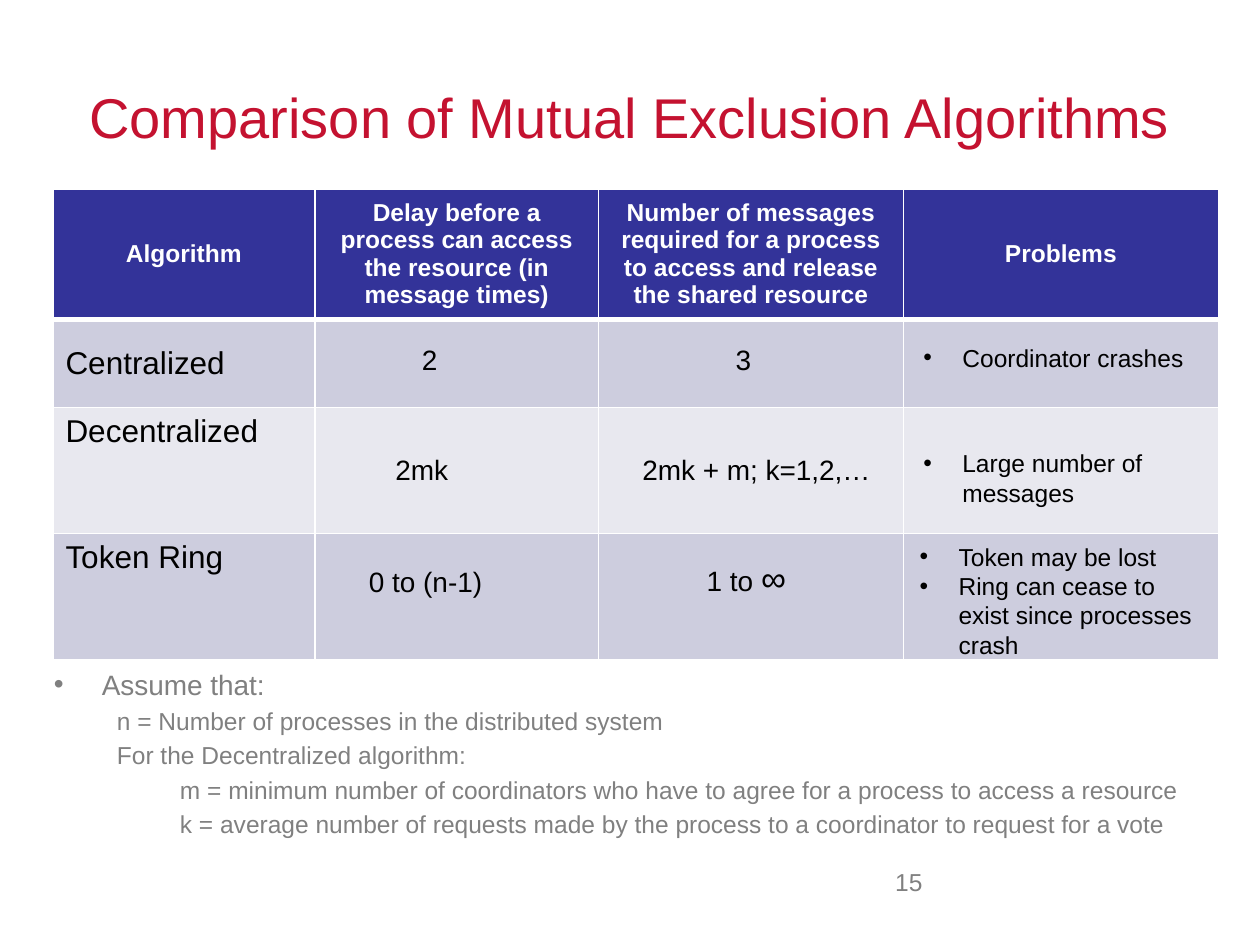
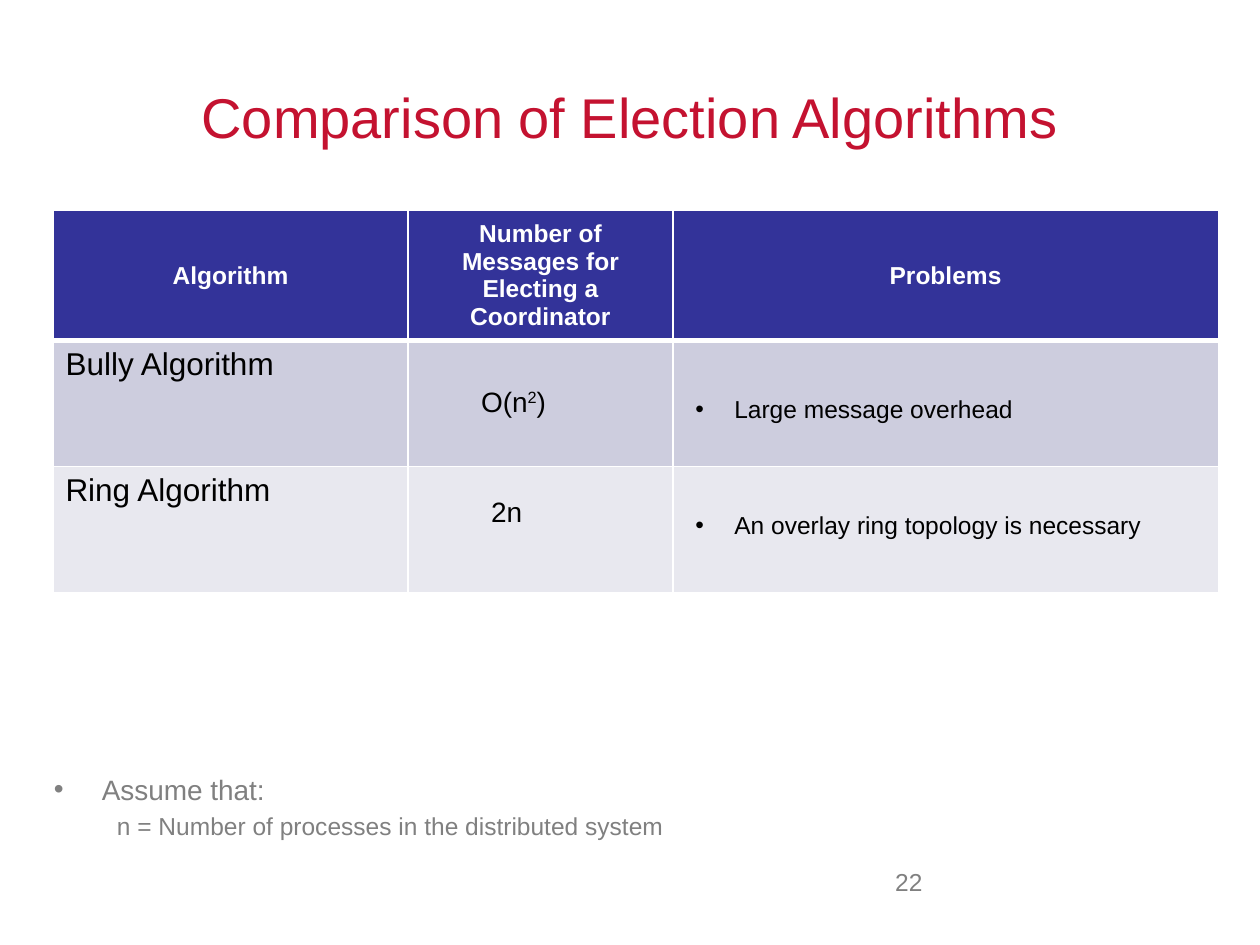
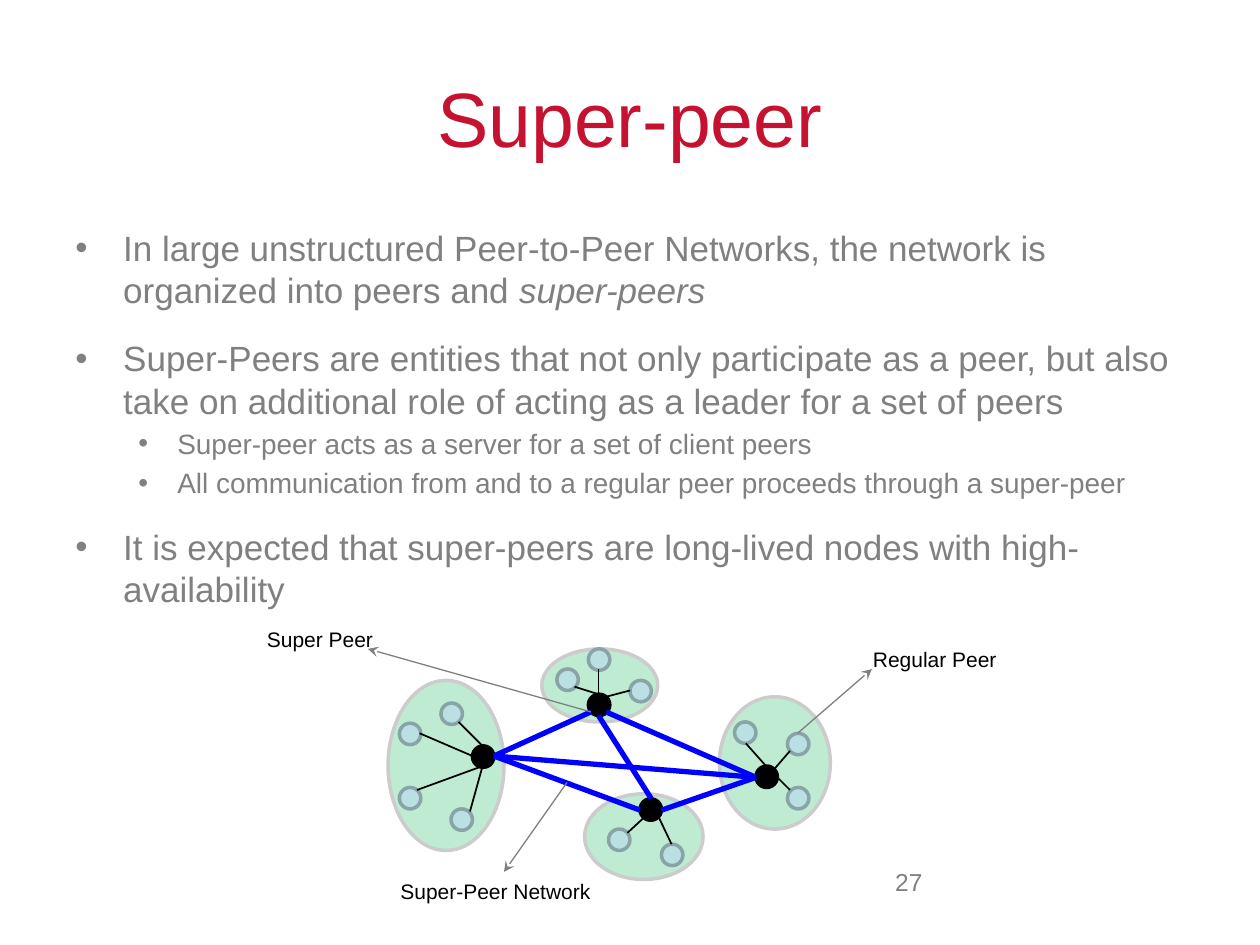
from lxml.etree import SubElement
from pptx import Presentation
from pptx.dml.color import RGBColor
from pptx.enum.shapes import MSO_CONNECTOR, MSO_SHAPE
from pptx.enum.text import MSO_ANCHOR, PP_ALIGN
from pptx.oxml.ns import qn
from pptx.util import Inches, Pt

FONT = "Arial"
COLORS = {
    "title": "C41230", "body": "808080", "ink": "000000", "white": "FFFFFF",
    "header": "333399", "band_dark": "CDCDDE", "band_light": "E8E8EF",
    "cluster": "00B050", "cluster_edge": "CCCCCC",
    "peer": "BBE0E3", "peer_edge": "89A4A7", "backbone": "0000FF", "callout": "7F7F7F",
}

# Paragraph styles: size, colour, left indent, first-line indent, space before, bullet
STYLES = {
    "number": dict(size=14, color="body", align=PP_ALIGN.RIGHT),
    "header": dict(size=14, color="white", bold=True, align=PP_ALIGN.CENTER),
    "row_name": dict(size=18),
    "value": dict(size=16),
    "problem": dict(size=14, left=0.31, first=-0.31, bullet=True),
    "label": dict(size=12),
    "assume": dict(size=16, color="body", left=0.38, first=-0.38, bullet=True),
    "definition": dict(size=14, color="body", left=0.5, before=2.8),
    "point": dict(size=20, color="body", left=0.38, first=-0.38, bullet=True),
    "next_point": dict(size=20, color="body", left=0.38, first=-0.38, before=15, bullet=True),
    "subpoint": dict(size=16, color="body", left=0.81, first=-0.31, before=3.2, bullet=True),
}

# Comparison slides; values and problems are (left, top, width, paragraphs)
COMPARISONS = [
    dict(
        title="Comparison of Mutual Exclusion Algorithms", number=15,
        table_top=1.5, widths=[2.08, 2.25, 2.42, 2.5], heights=[1.03, 0.7, 1, 1],
        headers=["Algorithm",
                 "Delay before a process can access the resource (in message times)",
                 "Number of messages required for a process to access and release the shared resource",
                 "Problems"],
        algorithms=["Centralized", "Decentralized", "Token Ring"],
        centred_rows=[1],
        values=[(3.25, 2.67, 0.33, ["2"]), (5.74, 2.67, 0.42, ["3"]),
                (3.04, 3.54, 0.7, ["2mk"]), (5, 3.54, 2.11, ["2mk + m; k=1,2,…"]),
                (2.83, 4.43, 1.17, ["0 to (n-1)"]),
                (5.51, 4.37, 0.88, [["1 to ", ("∞", {"size": 20})]])],
        problems=[(7.23, 2.67, 2.42, ["Coordinator crashes"]),
                  (7.23, 3.51, 2.5, ["Large number of messages"]),
                  (7.2, 4.25, 2.47, ["Token may be lost",
                                     "Ring can cease to exist since processes crash"])],
        notes_top=5.25, notes_height=1.67,
        definitions=["n = Number of processes in the distributed system",
                     "For the Decentralized algorithm:",
                     "\tm = minimum number of coordinators who have to agree for a process to access a resource",
                     "\tk = average number of requests made by the process to a coordinator to request for a vote"],
    ),
    dict(
        title="Comparison of Election Algorithms", number=22,
        table_top=1.67, widths=[2.82, 2.1, 4.33], heights=[1.03, 1, 1],
        headers=["Algorithm", "Number of Messages for Electing a Coordinator", "Problems"],
        algorithms=["Bully Algorithm", "Ring Algorithm"],
        centred_rows=[],
        values=[(3.72, 3, 0.75, [["O(n", ("2", {"raised": True}), ")"]]),
                (3.8, 3.88, 0.7, ["2n"])],
        problems=[(5.42, 3.08, 4, ["Large message overhead"]),
                  (5.42, 4, 4.08, ["An overlay ring topology is necessary"])],
        notes_top=6.08, notes_height=0.75,
        definitions=["n = Number of processes in the distributed system"],
    ),
]

SUPER_PEER_POINTS = [
    ("point", ["In large unstructured Peer-to-Peer Networks, the network is organized into peers and ",
               ("super-peers", {"italic": True})]),
    ("next_point", "Super-Peers are entities that not only participate as a peer, but also take on "
                   "additional role of acting as a leader for a set of peers"),
    ("subpoint", "Super-peer acts as a server for a set of client peers"),
    ("subpoint", "All communication from and to a regular peer proceeds through a super-peer"),
    ("next_point", "It is expected that super-peers are long-lived nodes with high-availability"),
]

# Each cluster: outline box, super-peer corner, peer corners, spokes (x1, y1, x2, y2)
NODE_SIZE = 0.17
CLUSTERS = [
    dict(outline=(3.08, 5.4, 0.92, 1.35), leader=(3.75, 5.92),
         peers=[(3.17, 6.25), (3.58, 6.42), (3.17, 5.74), (3.5, 5.58)],
         spokes=[(3.64, 5.73, 3.83, 5.92), (3.33, 5.82, 3.75, 6),
                 (3.83, 6.08, 3.31, 6.27), (3.83, 6.08, 3.73, 6.44)]),
    dict(outline=(4.3, 5.15, 0.92, 0.58), leader=(4.67, 5.51),
         peers=[(5, 5.4), (4.67, 5.15), (4.42, 5.31)],
         spokes=[(4.56, 5.45, 4.75, 5.51), (4.75, 5.31, 4.75, 5.51), (5, 5.48, 4.81, 5.53)]),
    dict(outline=(5.71, 5.53, 0.88, 1.05), leader=(6, 6.08),
         peers=[(5.83, 5.73), (6.25, 6.25), (6.25, 5.82)],
         spokes=[(5.92, 5.9, 6.08, 6.08), (6.27, 5.96, 6.14, 6.11), (6.17, 6.17, 6.27, 6.27)]),
    dict(outline=(4.64, 6.3, 0.94, 0.68), leader=(5.08, 6.34),
         peers=[(4.83, 6.58), (5.25, 6.7)],
         spokes=[(4.98, 6.61, 5.11, 6.49), (5.33, 6.7, 5.23, 6.49)]),
]
BACKBONE = [(4.69, 5.65, 3.92, 6), (6, 6.17, 4.81, 5.65), (6, 6.17, 5.25, 6.43),
            (5.08, 6.43, 3.92, 6), (6, 6.17, 3.92, 6), (4.75, 5.68, 5.17, 6.34)]
LABELS = [(6.83, 5.08, 1.25, "Regular Peer"), (2.02, 4.92, 1.33, "Super Peer"),
          (3.08, 6.92, 1.84, "Super-Peer Network")]
CALLOUTS = [(4.5, 6.21, 4, 6.92), (4.69, 5.65, 2.92, 5.15), (6.33, 5.82, 6.92, 5.31)]


def rgb(name):
    return RGBColor.from_string(COLORS[name])


# Text
def write(para, content, size, color="ink", bold=False, align=PP_ALIGN.LEFT,
          left=0, first=0, before=0, bullet=False):
    """Fill a paragraph; content is a string or a list of strings and (string, changes)."""
    para.alignment = align
    para.space_before = Pt(before)
    props = para._p.get_or_add_pPr()
    props.set("marL", str(Inches(left)))
    props.set("indent", str(Inches(first)))
    if bullet:
        tint = SubElement(props, qn("a:buClr"))
        SubElement(tint, qn("a:srgbClr"), val=COLORS[color])
        SubElement(props, qn("a:buFont"), typeface=FONT)
        SubElement(props, qn("a:buChar"), char="•")
    font = para.font
    font.name, font.size, font.bold = FONT, Pt(size), bold
    font.color.rgb = rgb(color)
    for part in [content] if isinstance(content, str) else content:
        text, changes = (part, {}) if isinstance(part, str) else part
        span = para.add_run()
        span.text = text
        if "size" in changes:
            span.font.size = Pt(changes["size"])
        if "italic" in changes:
            span.font.italic = True
        if "raised" in changes:
            span._r.get_or_add_rPr().set("baseline", "30000")


def add_text(page, left, top, width, height, paragraphs, anchor=MSO_ANCHOR.TOP):
    """Add a text box; paragraphs are (style name, content)."""
    box = page.shapes.add_textbox(Inches(left), Inches(top), Inches(width), Inches(height))
    frame = box.text_frame
    frame.word_wrap = True
    frame.vertical_anchor = anchor
    for index, (style, content) in enumerate(paragraphs):
        para = frame.add_paragraph() if index else frame.paragraphs[0]
        write(para, content, **STYLES[style])


def add_page(deck, title, number, title_size=32):
    page = deck.slides.add_slide(deck.slide_layouts[6])
    box = page.shapes.add_textbox(Inches(0.5), Inches(0.3), Inches(9), Inches(1.25))
    box.text_frame.word_wrap = True
    box.text_frame.vertical_anchor = MSO_ANCHOR.MIDDLE
    write(box.text_frame.paragraphs[0], title, title_size, "title", align=PP_ALIGN.CENTER)
    add_text(page, 6.5, 6.83, 0.92, 0.52, [("number", str(number))])
    return page


# Tables
def style_cell(cell, fill, row):
    """White rules all round, with a heavy one under the header row."""
    widths = {"L": 1, "R": 1, "T": 3 if row == 1 else 1, "B": 3 if row == 0 else 1}
    props = cell._tc.get_or_add_tcPr()
    for side, width in widths.items():
        rule = SubElement(props, qn(f"a:ln{side}"), w=str(Pt(width)))
        SubElement(SubElement(rule, qn("a:solidFill")), qn("a:srgbClr"), val=COLORS["white"])
    cell.fill.solid()
    cell.fill.fore_color.rgb = rgb(fill)


def add_comparison_table(page, data):
    widths, heights = data["widths"], data["heights"]
    table = page.shapes.add_table(
        len(heights), len(widths), Inches(0.42), Inches(data["table_top"]),
        Inches(sum(widths)), Inches(sum(heights))).table
    for column, width in zip(table.columns, widths):
        column.width = Inches(width)
    for index, (row, height) in enumerate(zip(table.rows, heights)):
        row.height = Inches(height)
        fill = "header" if index == 0 else "band_dark" if index % 2 else "band_light"
        for cell in row.cells:
            style_cell(cell, fill, index)
    for index, text in enumerate(data["headers"]):
        cell = table.cell(0, index)
        cell.vertical_anchor = MSO_ANCHOR.MIDDLE
        write(cell.text_frame.paragraphs[0], text, **STYLES["header"])
    for index, text in enumerate(data["algorithms"], start=1):
        cell = table.cell(index, 0)
        centred = index in data["centred_rows"]
        cell.vertical_anchor = MSO_ANCHOR.MIDDLE if centred else MSO_ANCHOR.TOP
        write(cell.text_frame.paragraphs[0], text, **STYLES["row_name"])


def add_comparison_page(deck, data):
    page = add_page(deck, data["title"], data["number"])
    notes = [("assume", "Assume that:")] + [("definition", text) for text in data["definitions"]]
    add_text(page, 0.33, data["notes_top"], 9.23, data["notes_height"], notes)
    add_comparison_table(page, data)
    for style, entries in (("value", data["values"]), ("problem", data["problems"])):
        for left, top, width, contents in entries:
            add_text(page, left, top, width, 0.37, [(style, content) for content in contents])


# Network diagram
def add_ellipse(page, left, top, width, height, fill, edge, opacity=None):
    shape = page.shapes.add_shape(
        MSO_SHAPE.OVAL, Inches(left), Inches(top), Inches(width), Inches(height))
    shape.shadow.inherit = False
    shape.fill.solid()
    shape.fill.fore_color.rgb = rgb(fill)
    shape.line.color.rgb = rgb(edge)
    shape.line.width = Pt(2)
    if opacity:
        tint = shape._element.spPr.find(qn("a:solidFill")).find(qn("a:srgbClr"))
        SubElement(tint, qn("a:alpha"), val=str(opacity * 1000))


def add_lines(page, routes, color, width, arrow=False):
    for route in routes:
        link = page.shapes.add_connector(MSO_CONNECTOR.STRAIGHT, *map(Inches, route))
        link.line.color.rgb = rgb(color)
        link.line.width = Pt(width)
        props = link._element.spPr
        if arrow:
            SubElement(props.find(qn("a:ln")), qn("a:tailEnd"), type="stealth")
        SubElement(props, qn("a:effectLst"))


def add_super_peer_page(deck):
    page = add_page(deck, "Super-peer", 27, title_size=44)
    for cluster in CLUSTERS:
        add_ellipse(page, *cluster["outline"], "cluster", "cluster_edge", opacity=25)
    add_text(page, 0.5, 1.75, 9, 4.95, SUPER_PEER_POINTS)
    for cluster in CLUSTERS:
        add_ellipse(page, *cluster["leader"], NODE_SIZE, NODE_SIZE, "ink", "ink")
        for corner in cluster["peers"]:
            add_ellipse(page, *corner, NODE_SIZE, NODE_SIZE, "peer", "peer_edge")
        add_lines(page, cluster["spokes"], "ink", 1)
    add_lines(page, BACKBONE, "backbone", 3)
    for left, top, width, text in LABELS:
        add_text(page, left, top, width, 0.3, [("label", text)])
    add_lines(page, CALLOUTS, "callout", 0.75, arrow=True)


def main():
    deck = Presentation()
    deck.slide_width, deck.slide_height = Inches(10), Inches(7.5)
    for data in COMPARISONS:
        add_comparison_page(deck, data)
    add_super_peer_page(deck)
    deck.save("out.pptx")


if __name__ == "__main__":
    main()
